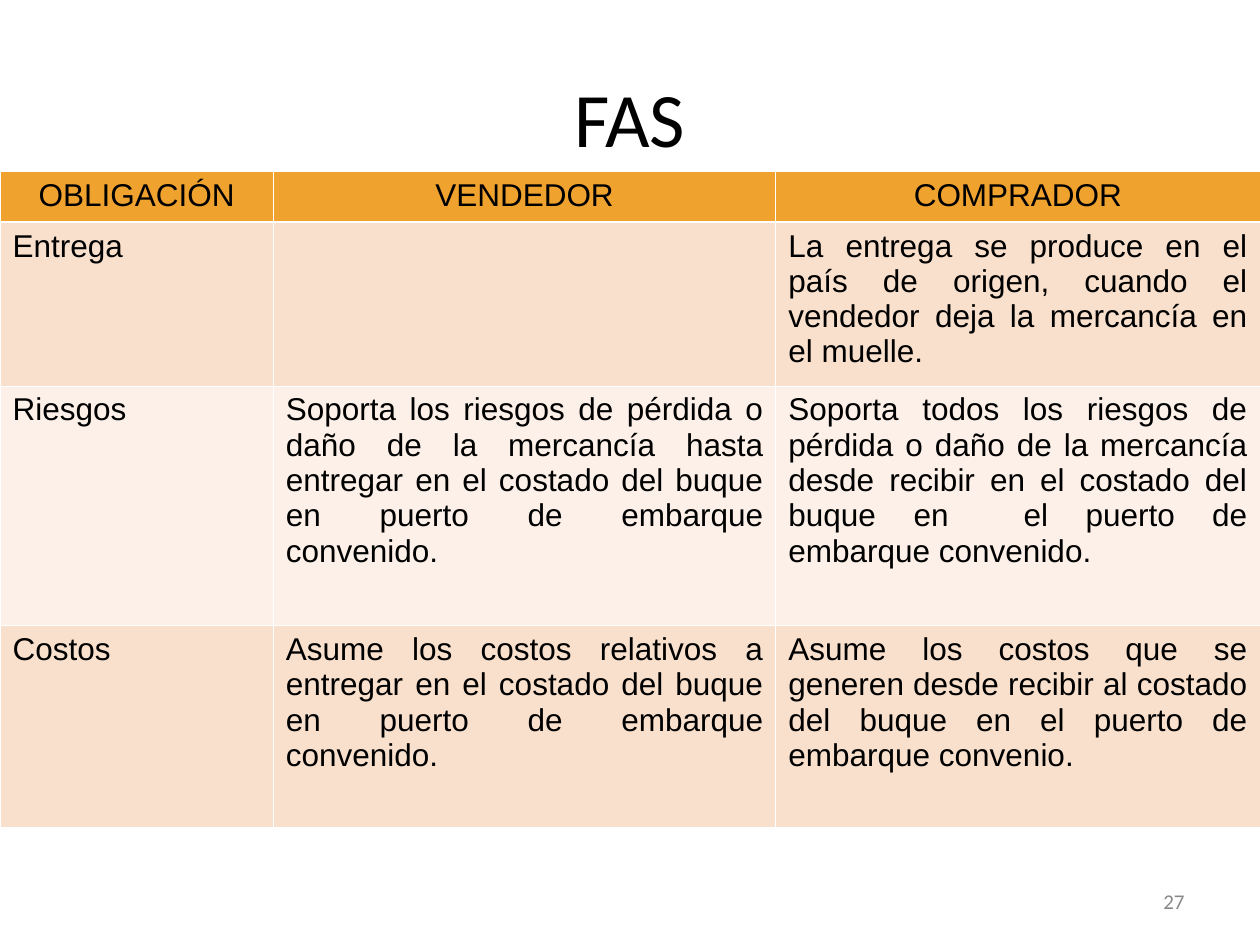
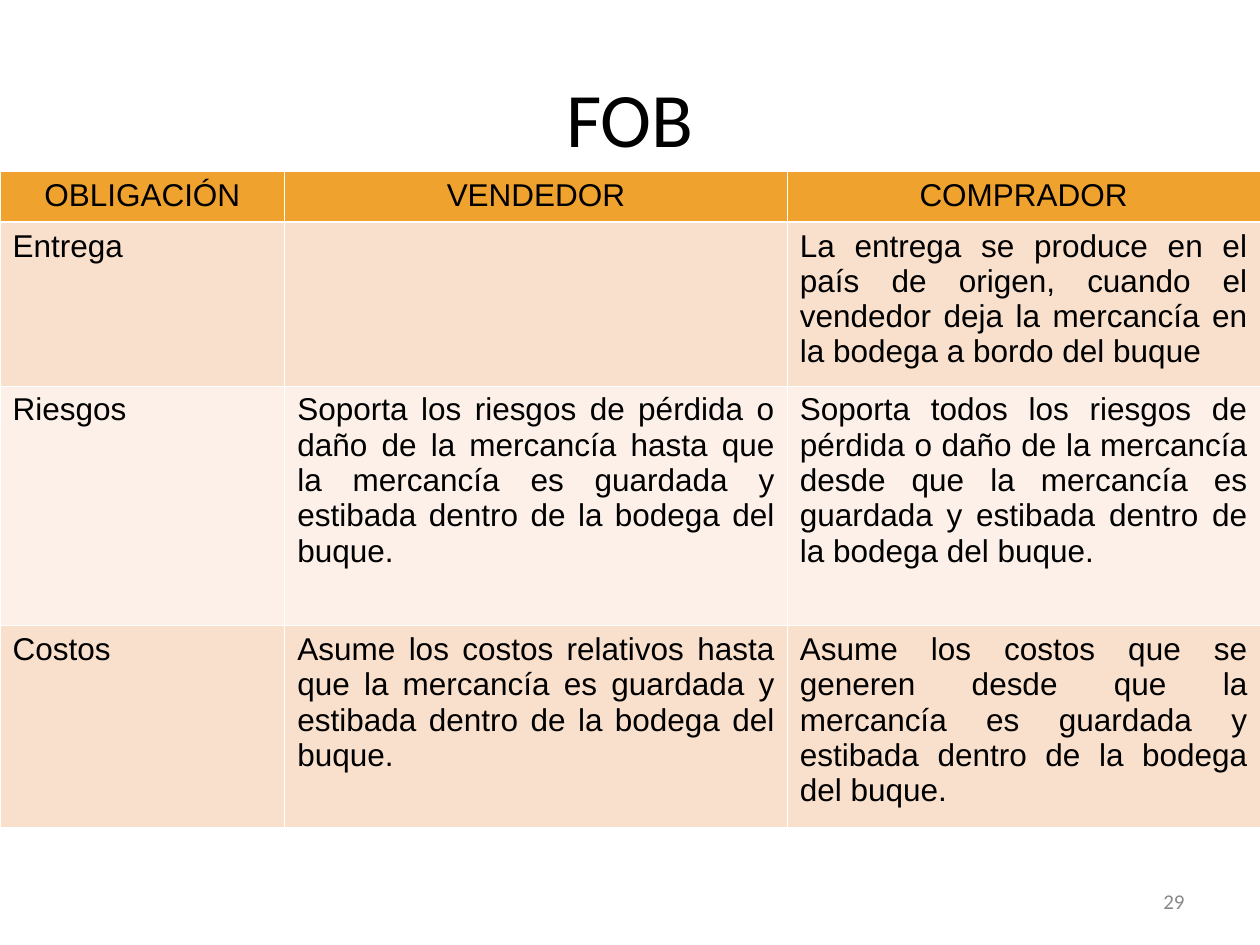
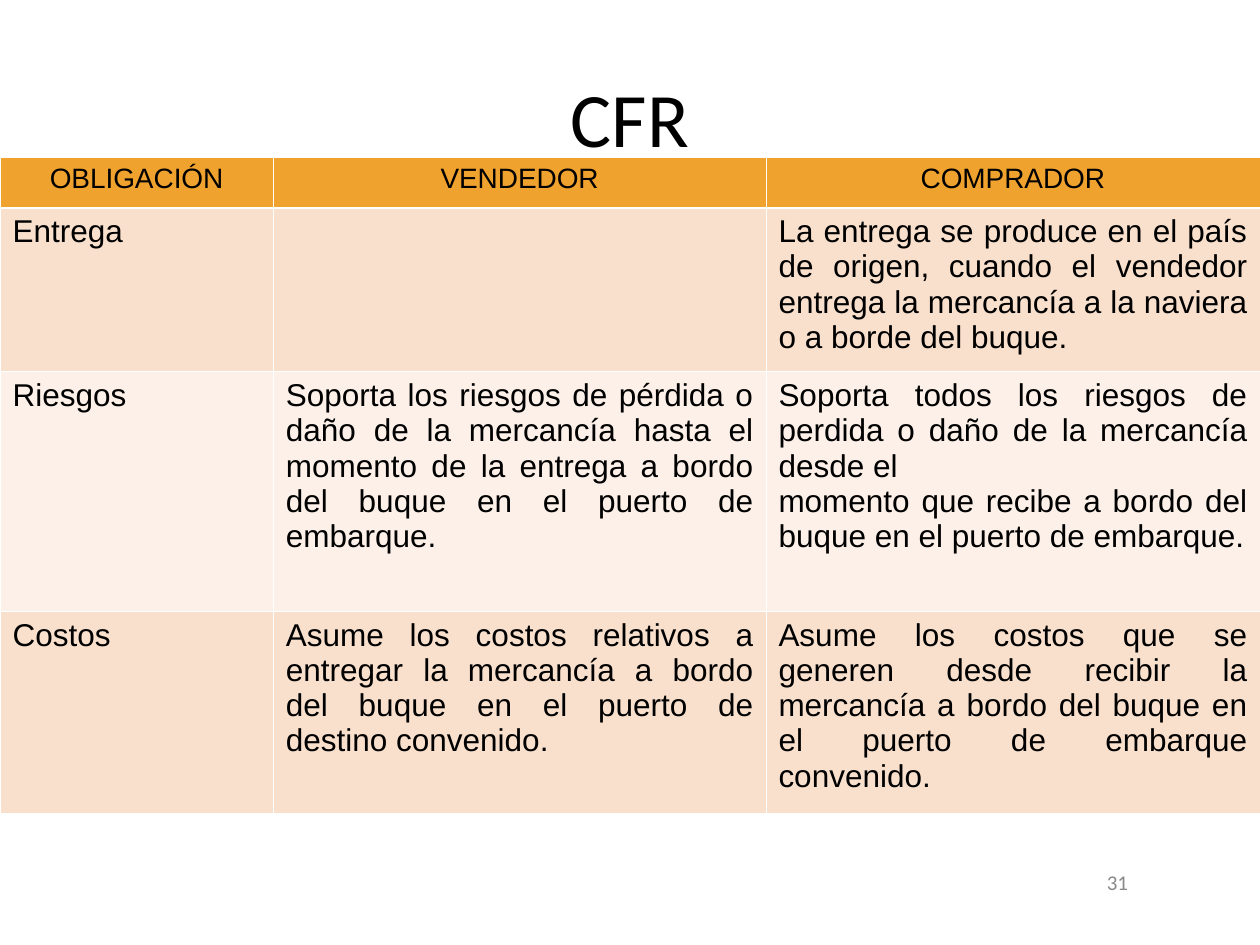
from pptx import Presentation
from pptx import util as u
from pptx.dml import color
from pptx.enum import text
from pptx.oxml import ns
from lxml import etree

WIDTH, HEIGHT = 25.4, 19.05
ROWS = (1.02, 3.3, 4.83, 4.06)
HEADS = ("OBLIGACIÓN", "VENDEDOR", "COMPRADOR")
DUTIES = ("Entrega", "Riesgos", "Costos")
ALIGN = text.PP_ALIGN


def rgb(code):
    return color.RGBColor.from_string(code)


class Deck:
    black, gray, white = "000000", "898989", "FFFFFF"
    gold, peach, cream = "F0A22E", "F9E0CD", "FCF0E8"
    thin, thick = 0.45, 1.47

    def __init__(self):
        self.prs = Presentation()
        self.prs.slide_width = u.Cm(WIDTH)
        self.prs.slide_height = u.Cm(HEIGHT)
        self.slide = None

    def start(self):
        self.slide = self.prs.slides.add_slide(self.prs.slide_layouts[6])

    def fill_text(self, frame, words, size, font, ink, align):
        frame.text = words
        for para in frame.paragraphs:
            para.alignment = align
            for run in para.runs:
                run.font.size = u.Pt(size)
                run.font.name = font
                run.font.bold = False
                run.font.color.rgb = rgb(ink)

    def label(self, words, box, size, ink, align):
        frame = self.slide.shapes.add_textbox(*map(u.Cm, box)).text_frame
        frame.word_wrap = True
        frame.vertical_anchor = text.MSO_ANCHOR.MIDDLE
        self.fill_text(frame, words, size, "Calibri", ink, align)

    def title(self, words):
        self.label(words, (1.27, 0.76, 22.86, 3.18), 44, self.black, ALIGN.CENTER)

    def number(self, value, left, top):
        self.label(str(value), (left, top, 5.92, 1.02), 12, self.gray, ALIGN.RIGHT)

    def edge(self, cell, row):
        """Draw white borders, thick between the header and the body."""
        widths = {"lnL": self.thin, "lnR": self.thin,
                  "lnT": self.thick if row == 1 else self.thin,
                  "lnB": self.thick if row == 0 else self.thin}
        props = cell._tc.get_or_add_tcPr()
        for tag, width in widths.items():
            line = etree.SubElement(props, ns.qn("a:" + tag), w=str(u.Pt(width)))
            fill = etree.SubElement(line, ns.qn("a:solidFill"))
            etree.SubElement(fill, ns.qn("a:srgbClr"), val=self.white)

    def table(self, top, cols, body, head_size):
        grid = [HEADS] + [(duty, *pair) for duty, pair in zip(DUTIES, body)]
        table = self.slide.shapes.add_table(
            len(grid), len(HEADS), 0, u.Cm(top), u.Cm(WIDTH), u.Cm(sum(ROWS))).table
        for col, width in zip(table.columns, (*cols, WIDTH - sum(cols))):
            col.width = u.Cm(width)
        for row, height in zip(table.rows, ROWS):
            row.height = u.Cm(height)
        fills = (self.gold, self.peach, self.cream, self.peach)
        for r, line in enumerate(grid):
            for c, words in enumerate(line):
                cell = table.cell(r, c)
                self.edge(cell, r)
                cell.fill.solid()
                cell.fill.fore_color.rgb = rgb(fills[r])
                if r == 0:
                    align = ALIGN.CENTER
                else:
                    align = ALIGN.JUSTIFY if c else ALIGN.LEFT
                size = 18 if r else head_size
                self.fill_text(cell.text_frame, words, size, "Arial", self.black, align)


# Each body row holds the seller's and the buyer's duty.
TERMS = [
    dict(name="FAS", page=27, spot=(18.21, 17.65), top=3.46,
         cols=(5.51, 10.13), head=18, body=[
             ("", "La entrega se produce en el país de origen, cuando el vendedor "
                  "deja la mercancía en el muelle."),
             ("Soporta los riesgos de pérdida o daño de la mercancía hasta entregar "
              "en el costado del buque en puerto de embarque convenido.",
              "Soporta todos los riesgos de pérdida o daño de la mercancía desde "
              "recibir en el costado del buque en  el puerto de embarque convenido."),
             ("Asume los costos relativos a entregar en el costado del buque en "
              "puerto de embarque convenido.",
              "Asume los costos que se generen desde recibir al costado del buque "
              "en el puerto de embarque convenio."),
         ]),
    dict(name="FOB", page=29, spot=(18.21, 17.65), top=3.46,
         cols=(5.74, 10.13), head=18, body=[
             ("", "La entrega se produce en el país de origen, cuando el vendedor "
                  "deja la mercancía en la bodega a bordo del buque"),
             ("Soporta los riesgos de pérdida o daño de la mercancía hasta que la "
              "mercancía es guardada y estibada dentro de la bodega del buque.",
              "Soporta todos los riesgos de pérdida o daño de la mercancía desde que "
              "la mercancía es guardada y estibada dentro de la bodega del buque."),
             ("Asume los costos relativos hasta que la mercancía es guardada y "
              "estibada dentro de la bodega del buque.",
              "Asume los costos que se generen desde que la mercancía es guardada y "
              "estibada dentro de la bodega del buque."),
         ]),
    dict(name="CFR", page=31, spot=(17.07, 17.27), top=3.17,
         cols=(5.51, 9.93), head=16, body=[
             ("", "La entrega se produce en el país de origen, cuando el vendedor "
                  "entrega la mercancía a la naviera o a borde del buque."),
             ("Soporta los riesgos de pérdida o daño de la mercancía hasta el momento "
              "de la entrega a bordo del buque en el puerto de embarque.",
              "Soporta todos los riesgos de perdida o daño de la mercancía desde el\n"
              "momento que recibe a bordo del buque en el puerto de embarque."),
             ("Asume los costos relativos a entregar la mercancía a bordo del buque "
              "en el puerto de destino convenido.",
              "Asume los costos que se generen desde recibir la mercancía a bordo del "
              "buque en el puerto de embarque convenido."),
         ]),
]


def main():
    deck = Deck()
    for term in TERMS:
        deck.start()
        deck.title(term["name"])
        deck.table(term["top"], term["cols"], term["body"], term["head"])
        deck.number(term["page"], *term["spot"])
    deck.prs.save("out.pptx")


if __name__ == "__main__":
    main()
